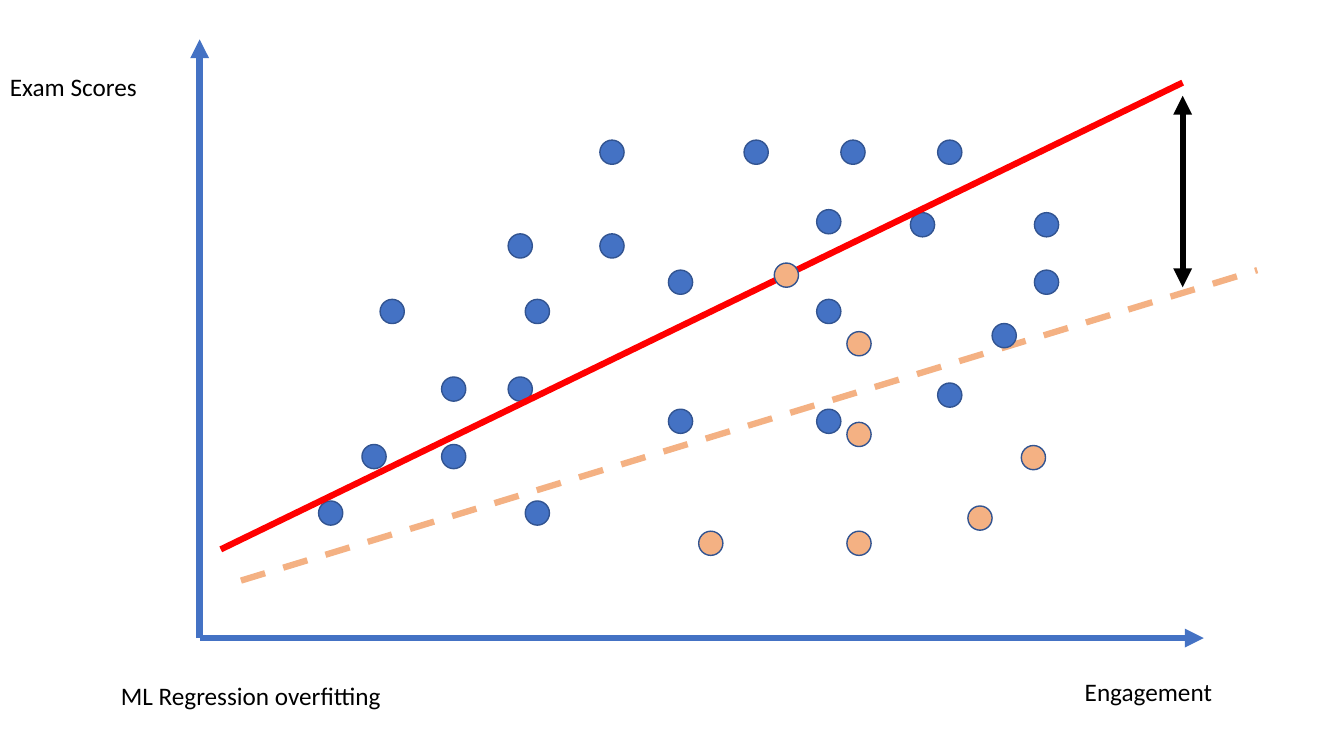
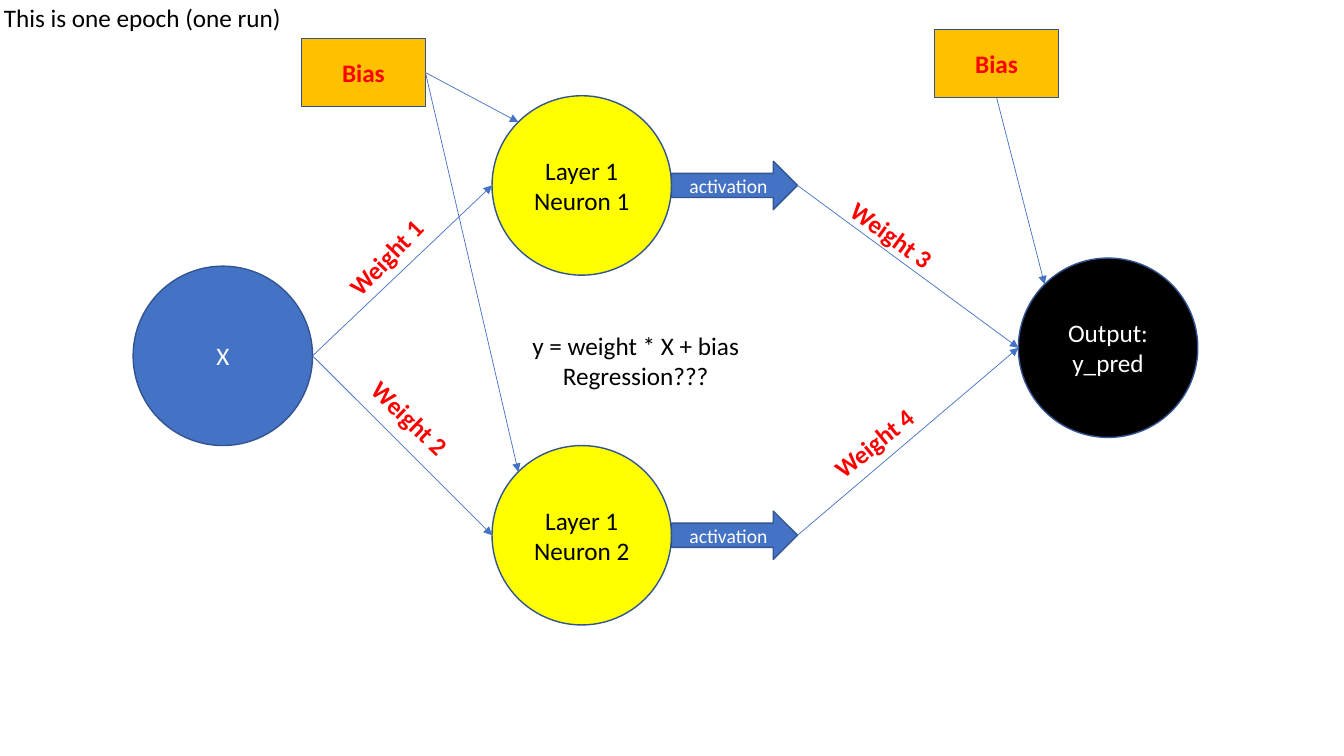
"""Builds two slides: a regression scatter sketch and a small neural network."""
from dataclasses import dataclass
from math import sqrt

from pptx import Presentation
from pptx.dml.color import RGBColor
from pptx.enum.dml import MSO_LINE_DASH_STYLE as Dash
from pptx.enum.shapes import MSO_CONNECTOR as Link, MSO_SHAPE as Shape
from pptx.enum.text import MSO_ANCHOR as Anchor, MSO_AUTO_SIZE as Fit, PP_ALIGN as Align
from pptx.oxml.ns import qn
from pptx.oxml.xmlchemy import OxmlElement
from pptx.util import Inches, Pt


@dataclass(frozen=True)
class Theme:
    """Colours, type sizes and line widths shared by the slides."""
    blue: str = "4472C4"
    edge: str = "325491"
    peach: str = "F4B183"
    red: str = "FF0000"
    yellow: str = "FFFF00"
    amber: str = "FFC000"
    black: str = "000000"
    white: str = "FFFFFF"
    font: str = "Calibri"
    body: float = 18
    small: float = 14
    thick: float = 4.5
    outline: float = 1
    thin: float = 0.5


@dataclass(frozen=True)
class Box:
    """A rectangle measured in one-inch columns and rows."""
    left: float
    top: float
    width: float
    height: float

    def inches(self):
        """Return the four measures as lengths."""
        return [Inches(n) for n in (self.left, self.top, self.width, self.height)]

    def point(self, across, down):
        """Return the point at the given shares of the box."""
        return self.left + across * self.width, self.top + down * self.height

    def inner(self, left, top, width, height):
        """Return a box placed relative to this one."""
        return Box(self.left + left, self.top + top, width, height)


THEME = Theme()
PAGE = Box(0, 0, 13.33, 7.5)
PLOT = Box(1.98, 0.39, 9.96, 5.94)
DOT = 0.24
NEURON = 1.78
LABEL_HEIGHT = 0.4
ROUND_CORNER = (1 - sqrt(0.5)) / 2

STUDENTS = {
    1.24: (1.3, 3.35), 1.8: (1.73, 2.52), 2.15: (4.77, 6.24), 2.41: (7.44,),
    2.47: (2.52, 3.18), 3: (7.98,), 3.24: (1.91, 3.35, 6.24), 3.53: (4.77, 8.4),
    3.89: (3.18, 4.09), 4.1: (7.17, 8.4), 4.13: (6.24,), 4.82: (4.09, 5.52, 6.48, 7.44),
}
NEW_STUDENTS = {
    0.94: (5.07, 6.54), 1.19: (7.74,), 1.79: (8.27,), 2.02: (6.54,),
    2.92: (6.54,), 3.6: (5.82,),
}


def apply(target, values):
    """Set each named attribute of the target."""
    for name, value in values.items():
        setattr(target, name, value)


def write(frame, lines, color, size=THEME.body, bold=False, align=Align.LEFT):
    """Fill a text frame with one paragraph per line."""
    frame.word_wrap = True
    for number, line in enumerate(lines):
        paragraph = frame.add_paragraph() if number else frame.paragraphs[0]
        paragraph.alignment = align
        run = paragraph.add_run()
        run.text = line
        apply(run.font, {"name": THEME.font, "size": Pt(size), "bold": bold})
        run.font.color.rgb = RGBColor.from_string(color)


def add_label(slide, box, *lines, color=THEME.black, turn=0, **style):
    """Add free text, turned by the given degrees."""
    label = slide.shapes.add_textbox(*box.inches())
    label.rotation = turn
    write(label.text_frame, lines, color, **style)
    label.text_frame.auto_size = Fit.SHAPE_TO_FIT_TEXT


def add_node(slide, kind, box, fill, text="", color=THEME.white, **style):
    """Add an outlined shape with centred text."""
    node = slide.shapes.add_shape(kind, *box.inches())
    node.shadow.inherit = False
    node.fill.solid()
    node.fill.fore_color.rgb = RGBColor.from_string(fill)
    node.line.color.rgb = RGBColor.from_string(THEME.edge)
    node.line.width = Pt(THEME.outline)
    if text:
        node.text_frame.vertical_anchor = Anchor.MIDDLE
        write(node.text_frame, [text], color, align=Align.CENTER, **style)


def add_line(slide, start, end, color=THEME.blue, width=THEME.thin, dash=None, ends=("tailEnd",)):
    """Add a straight line with triangles on the listed ends."""
    line = slide.shapes.add_connector(Link.STRAIGHT, *(Inches(n) for n in (*start, *end)))
    line.line.color.rgb = RGBColor.from_string(color)
    apply(line.line, {"width": Pt(width), "dash_style": dash})
    properties = line._element.spPr
    for name in ends:
        arrowhead = OxmlElement(f"a:{name}")
        arrowhead.set("type", "triangle")
        properties.find(qn("a:ln")).append(arrowhead)
    properties.append(OxmlElement("a:effectLst"))


def draw_scatter(slide, plot):
    """Draw axes, students, trends and their gap, measured up from the axis corner."""
    def spot(across, up):
        return plot.left + across, plot.top + plot.height - up

    def stroke(start, end, color, **style):
        add_line(slide, spot(*start), spot(*end), color, THEME.thick, **style)

    def dots(rows, fill):
        for up, columns in rows.items():
            for across in columns:
                left, top = spot(across - DOT / 2, up + DOT / 2)
                add_node(slide, Shape.OVAL, Box(left, top, DOT, DOT), fill)

    stroke((0.41, 0.57), (10.49, 3.65), THEME.peach, dash=Dash.DASH, ends=())
    for axis_end in ((plot.width, 0), (0, plot.height)):
        stroke((0, 0), axis_end, THEME.blue)
    for text, across, up, width in (
        ("Engagement", 8.68, -0.33, 1.81),
        ("Exam Scores", -1.98, 5.67, 1.81),
        ("ML Regression overfitting", -0.88, -0.37, 3.15),
    ):
        add_label(slide, Box(*spot(across, up), width, LABEL_HEIGHT), text)
    dots(STUDENTS, THEME.blue)
    stroke((0.21, 0.88), (9.75, 5.51), THEME.red, ends=())
    dots(NEW_STUDENTS, THEME.peach)
    stroke((9.75, 5.38), (9.75, 3.48), THEME.black, ends=("headEnd", "tailEnd"))


def draw_network(slide, area):
    """Draw input, hidden layer, output and the links between them."""
    source = area.inner(1.32, 2.64, NEURON, NEURON)
    output = area.inner(10.1, 2.56, NEURON, NEURON)
    hidden = [area.inner(4.88, top, NEURON, NEURON) for top in (0.95, 4.42)]
    hidden_bias, output_bias = (
        area.inner(left, top, 1.23, 0.68) for left, top in ((2.99, 0.38), (9.27, 0.29))
    )

    add_node(slide, Shape.OVAL, source, THEME.blue, "X")
    add_node(slide, Shape.OVAL, output, THEME.black, "Output: y_pred")
    for bias in (hidden_bias, output_bias):
        add_node(slide, Shape.RECTANGLE, bias, THEME.amber, "Bias", THEME.red, bold=True)
    for number, neuron in enumerate(hidden, 1):
        add_node(slide, Shape.OVAL, neuron, THEME.yellow, f"Layer 1 Neuron {number}", THEME.black)
        activation = neuron.inner(NEURON, 0.65, 1.25, 0.48)
        add_node(slide, Shape.RIGHT_ARROW, activation, THEME.blue, "activation", size=THEME.small)
        for start, end in (
            (source.point(1, 0.5), neuron.point(0, 0.5)),
            (activation.point(1, 0.5), output.point(0, 0.5)),
            (hidden_bias.point(1, 0.5), neuron.point(ROUND_CORNER, ROUND_CORNER)),
        ):
            add_line(slide, start, end)
    add_line(slide, output_bias.point(0.5, 1), output.point(ROUND_CORNER, ROUND_CORNER))

    weights = ((3.26, 2.34, -46.2), (3.5, 3.96, 43.7), (8.28, 2.14, 35.8), (8.1, 4.18, -39.2))
    for number, (left, top, turn) in enumerate(weights, 1):
        add_label(slide, area.inner(left, top, 1.16, LABEL_HEIGHT), f"Weight {number}",
                  color=THEME.red, turn=turn, bold=True)
    add_label(slide, area.inner(-0.06, -0.03, 3.4, LABEL_HEIGHT), "This is one epoch (one run)")
    add_label(slide, area.inner(4.68, 3.23, 3.25, 0.71), "y = weight * X + bias",
              "Regression???", align=Align.CENTER)


def main():
    """Build and save the presentation."""
    deck = Presentation()
    apply(deck, {"slide_width": Inches(PAGE.width), "slide_height": Inches(PAGE.height)})
    for draw, region in ((draw_scatter, PLOT), (draw_network, PAGE)):
        draw(deck.slides.add_slide(deck.slide_layouts[6]), region)
    deck.save("out.pptx")


if __name__ == "__main__":
    main()
